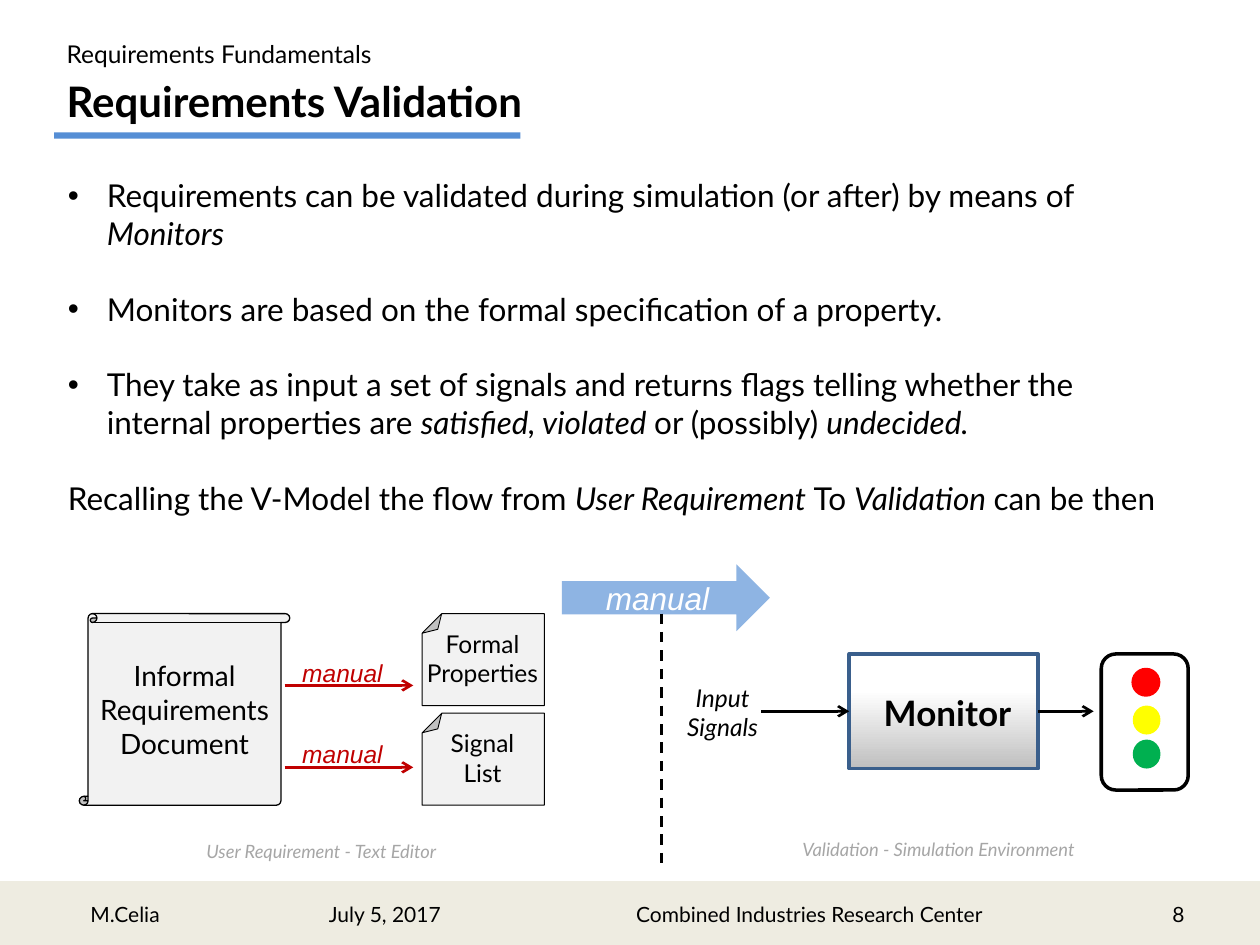
from lxml.etree import SubElement
from pptx import Presentation
from pptx.dml.color import RGBColor
from pptx.enum.dml import MSO_LINE
from pptx.enum.shapes import MSO_CONNECTOR, MSO_SHAPE
from pptx.enum.text import MSO_ANCHOR, PP_ALIGN
from pptx.oxml.ns import qn
from pptx.util import Inches, Pt

BLACK = RGBColor(0x00, 0x00, 0x00)
WHITE = RGBColor(0xFF, 0xFF, 0xFF)
SILVER = RGBColor(0xBF, 0xBF, 0xBF)
CAPTION_GRAY = RGBColor(0xA6, 0xA6, 0xA6)
PAPER = RGBColor(0xF2, 0xF2, 0xF2)
FOOTER_CREAM = RGBColor(0xEE, 0xEC, 0xE1)
TITLE_BLUE = RGBColor(0x55, 0x8E, 0xD5)
ARROW_BLUE = RGBColor(0x8E, 0xB4, 0xE3)
BORDER_BLUE = RGBColor(0x3A, 0x5F, 0x8C)
DARK_RED = RGBColor(0xC0, 0x00, 0x00)
RED = RGBColor(0xFF, 0x00, 0x00)
YELLOW = RGBColor(0xFF, 0xFF, 0x00)
GREEN = RGBColor(0x00, 0xB0, 0x50)

LEFT, CENTER, RIGHT = PP_ALIGN.LEFT, PP_ALIGN.CENTER, PP_ALIGN.RIGHT
MIDDLE = MSO_ANCHOR.MIDDLE

deck = Presentation()
deck.slide_width, deck.slide_height = Inches(10), Inches(7.5)
page = deck.slides.add_slide(deck.slide_layouts[6])
column = deck.slide_width / 100
row = deck.slide_height / 75


def add_figure(kind, x, y, width, height, fill=None, line=None, weight=1):
    figure = page.shapes.add_shape(
        kind, int(x * column), int(y * row), int(width * column), int(height * row))
    figure.shadow.inherit = False
    if fill is None:
        figure.fill.background()
    else:
        figure.fill.solid()
        figure.fill.fore_color.rgb = fill
    if line is None:
        figure.line.fill.background()
    else:
        figure.line.color.rgb = line
        figure.line.width = Pt(weight)
    return figure


def add_label(text, x, y, width, height, size, align=LEFT, color=BLACK,
              bold=False, italic=False, font="Lato", anchor=MSO_ANCHOR.TOP, wrap=True):
    box = page.shapes.add_textbox(
        int(x * column), int(y * row), int(width * column), int(height * row))
    frame = box.text_frame
    frame.word_wrap = wrap
    frame.vertical_anchor = anchor
    frame.text = text
    for para in frame.paragraphs:
        para.alignment = align
        para.font.name = font
        para.font.size = Pt(size)
        para.font.bold = bold
        para.font.italic = italic
        para.font.color.rgb = color
    return box


add_label("Requirements Fundamentals", 4.3, 2.6, 27.6, 6.4, 14)
add_label("Requirements Validation", 4.3, 5.5, 40.2, 5, 24, bold=True)
add_figure(MSO_SHAPE.RECTANGLE, 4.3, 10.5, 37, 0.5, TITLE_BLUE)

add_figure(MSO_SHAPE.RECTANGLE, 0, 70.1, 100, 4.9, FOOTER_CREAM, FOOTER_CREAM, 2)
add_label("M.Celia", 6.2, 71.1, 11.3, 3, 12)
for text, x, width, align in [
    ("July 5, 2017", 19.3, 22.5, CENTER),
    ("Combined Industries Research Center", 48.4, 31.7, CENTER),
    ("8", 71.7, 23.3, RIGHT),
]:
    add_label(text, x, 70.1, width, 4.9, 12, align, anchor=MIDDLE)

body = add_label("", 4.4, 13.5, 90.4, 28.3, 18).text_frame
statements = [
    (True, [("Requirements can be validated during simulation (or after) by means of ", False),
            ("Monitors", True)]),
    (True, [("Monitors are based on the formal specification of a property.", False)]),
    (True, [("They take as input a set of signals and returns flags telling whether the "
             "internal properties are ", False),
            ("satisfied, violated ", True), ("or (possibly) ", False), ("undecided.", True)]),
    (False, [("Recalling the V-Model the flow from ", False), ("User Requirement ", True),
             ("To ", False), ("Validation ", True), ("can be then", False)]),
]
for index, (bulleted, spans) in enumerate(statements):
    para = body.add_paragraph() if index else body.paragraphs[0]
    properties = para._p.get_or_add_pPr()
    if index:
        para.space_before = Pt(21.6)
    if bulleted:
        properties.set("marL", str(Inches(0.31)))
        properties.set("indent", str(-Inches(0.31)))
        for element in properties.findall(qn("a:defRPr")):
            properties.remove(element)
        SubElement(properties, qn("a:buFont"), typeface="Arial")
        SubElement(properties, qn("a:buChar"), char="•")
    for text, italic in spans:
        span = para.add_run()
        span.text = text
        span.font.name = "Lato"
        span.font.size = Pt(18)
        span.font.italic = italic
        span.font.color.rgb = BLACK

scroll = add_figure(MSO_SHAPE.VERTICAL_SCROLL, 6.3, 48.7, 16.7, 15.2, PAPER, BLACK, 0.75)
add_label("Informal\nRequirements\nDocument", 3.9, 51.8, 21.5, 9.1, 16, CENTER)

adjusted_figures = [(scroll, 4600)]
for index, text in enumerate(["Formal\nProperties", "Signal\nList"]):
    top = 48.7 + 7.9 * index
    note = add_figure(MSO_SHAPE.FOLDED_CORNER, 33.5, top, 9.7, 7.3, PAPER, BLACK, 0.5)
    note.rotation = 180
    adjusted_figures.append((note, 21300))
    add_label(text, 32.8, top + 0.7, 11, 5.7, 14, CENTER)

for figure, amount in adjusted_figures:
    geometry = figure._element.spPr.find(qn("a:prstGeom"))
    for element in list(geometry):
        geometry.remove(element)
    guides = SubElement(geometry, qn("a:avLst"))
    SubElement(guides, qn("a:gd"), name="adj", fmla=f"val {amount}")

flow = add_figure(MSO_SHAPE.RIGHT_ARROW, 44.6, 44.8, 16.5, 5.3, ARROW_BLUE)
flow.text_frame.text = "manual"
flow.text_frame.vertical_anchor = MIDDLE
flow_para = flow.text_frame.paragraphs[0]
flow_para.alignment = CENTER
flow_para.font.name = "Arial"
flow_para.font.size = Pt(18)
flow_para.font.italic = True
flow_para.font.color.rgb = WHITE

monitor = add_figure(MSO_SHAPE.FLOWCHART_PROCESS, 67.4, 51.9, 15, 9.1, WHITE, BORDER_BLUE, 2)
monitor.fill.gradient()
monitor.fill.gradient_angle = 270
for stop, position, color in zip(monitor.fill.gradient_stops, (0.32, 1), (WHITE, SILVER)):
    stop.position = position
    stop.color.rgb = color
add_label("Monitor", 67.5, 54.4, 15.4, 4.4, 20, CENTER, bold=True)
add_label("Input\nSignals", 53.5, 53.7, 7.7, 5.7, 14, CENTER, italic=True, wrap=False)

for x, y, size, color in [(89.8, 53, 2.3, RED), (89.9, 56, 2.2, YELLOW), (89.9, 58.7, 2.2, GREEN)]:
    add_figure(MSO_SHAPE.OVAL, x, y, size, 2.3, color)
add_figure(MSO_SHAPE.ROUNDED_RECTANGLE, 87.4, 51.9, 6.9, 10.8, None, BLACK, 2)

connectors = []
for x1, y1, x2, y2, color in [
    (52.5, 48.7, 52.5, 69, BLACK),
    (60.4, 56.45, 67.4, 56.45, BLACK),
    (82.4, 56.45, 86.8, 56.45, BLACK),
    (22.6, 54.4, 32.8, 54.4, DARK_RED),
    (22.6, 60.9, 32.8, 60.9, DARK_RED),
]:
    connector = page.shapes.add_connector(
        MSO_CONNECTOR.STRAIGHT, int(x1 * column), int(y1 * row), int(x2 * column), int(y2 * row))
    connector.line.color.rgb = color
    connector.line.width = Pt(1.5)
    SubElement(connector._element.spPr, qn("a:effectLst"))
    connectors.append(connector)
divider, signal_input, verdict_output, *manual_steps = connectors
divider.line.dash_style = MSO_LINE.DASH
signal_input.end_connect(monitor, 1)
verdict_output.begin_connect(monitor, 3)
for connector in connectors[1:]:
    SubElement(connector.line._get_or_add_ln(), qn("a:tailEnd"), type="arrow")

for y in (51.7, 58.2):
    add_label("manual", 23, y, 9.9, 3.4, 14, color=DARK_RED, italic=True, font="Arial")

for text, x, y, width in [
    ("User Requirement - Text Editor", 15.4, 66.2, 21.3),
    ("Validation - Simulation Environment", 62.7, 66, 24.4),
]:
    add_label(text, x, y, width, 2.8, 10.5, color=CAPTION_GRAY, italic=True)

deck.save("out.pptx")
